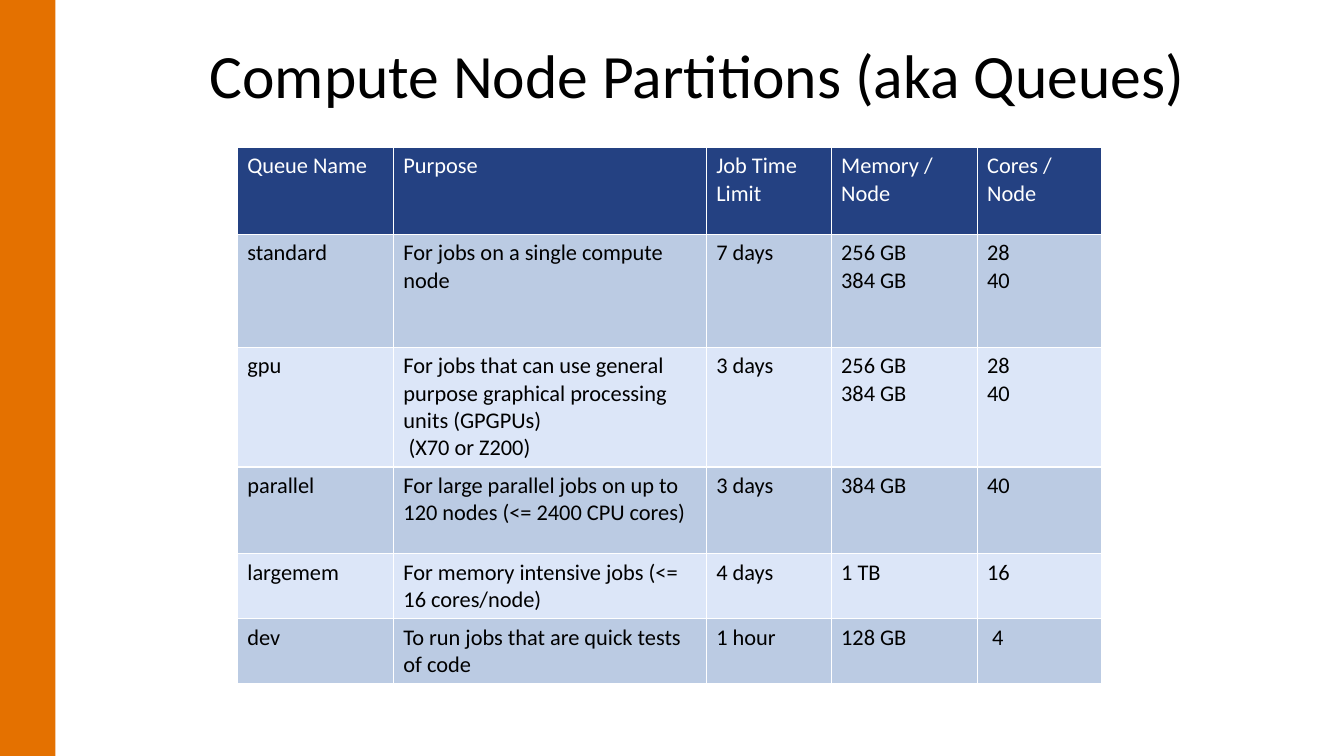
from dataclasses import dataclass

from pptx import Presentation
from pptx.dml.color import RGBColor
from pptx.enum.shapes import MSO_SHAPE
from pptx.enum.text import MSO_ANCHOR, MSO_AUTO_SIZE, PP_ALIGN
from pptx.util import Pt

RECTANGLE = MSO_SHAPE.RECTANGLE
TOP = MSO_ANCHOR.TOP
LEFT = PP_ALIGN.LEFT
NO_AUTOFIT = MSO_AUTO_SIZE.NONE

TITLE = "Compute Node Partitions (aka Queues)"
HEADERS = ["Queue Name", "Purpose", "Job Time Limit", "Memory / Node", "Cores / Node"]
QUEUES = [
    ("standard", "For jobs on a single compute node",
     "7 days", "256 GB\n384 GB", "28\n40"),
    ("gpu", "For jobs that can use general purpose graphical processing units (GPGPUs)\n"
     " (X70 or Z200)", "3 days", "256 GB\n384 GB", "28\n40"),
    ("parallel", "For large parallel jobs on up to 120 nodes (<= 2400 CPU cores)",
     "3 days", "384 GB", "40"),
    ("largemem", "For memory intensive jobs (<= 16 cores/node)", "4 days", "1 TB", "16"),
    ("dev", "To run jobs that are quick tests of code", "1 hour", "128 GB", " 4"),
]

SLIDE_SIZE = (960, 540)
BAR_WIDTH = 39.6
TITLE_BOX = (142.5, 28.8, 756, 104.4)
TABLE_ORIGIN = (169.5, 105.4)
COLUMN_WIDTHS = [111.5, 223.5, 89.2, 104.3, 89.2]
ROW_HEIGHTS = [62, 80.7, 80.7, 62, 44, 44]


@dataclass(frozen=True)
class Theme:
    font: str = "Calibri"
    title_size: int = 44
    table_size: int = 16
    bar: RGBColor = RGBColor(0xE4, 0x71, 0x00)
    header: RGBColor = RGBColor(0x24, 0x41, 0x82)
    bands: tuple = (RGBColor(0xBB, 0xCB, 0xE3), RGBColor(0xDC, 0xE6, 0xF8))
    light_text: RGBColor = RGBColor(0xFF, 0xFF, 0xFF)
    dark_text: RGBColor = RGBColor(0, 0, 0)


THEME = Theme()


def format_text(text_frame, size, color):
    font_format = {"name": THEME.font, "size": Pt(size), "bold": False}
    for paragraph in text_frame.paragraphs:
        paragraph.alignment = LEFT
        for run in paragraph.runs:
            for name, value in font_format.items():
                setattr(run.font, name, value)
            run.font.color.rgb = color


def add_side_bar(slide):
    bar = slide.shapes.add_shape(RECTANGLE, 0, 0, Pt(BAR_WIDTH), Pt(SLIDE_SIZE[1]))
    bar.shadow.inherit = False
    bar.fill.solid()
    bar.fill.fore_color.rgb = THEME.bar
    bar.line.fill.background()


def fill_title(slide):
    title = slide.shapes.title
    for name, value in zip(("left", "top", "width", "height"), TITLE_BOX):
        setattr(title, name, Pt(value))
    text_frame = title.text_frame
    text_frame.text = TITLE
    frame_format = {"vertical_anchor": TOP, "word_wrap": True, "auto_size": NO_AUTOFIT}
    for name, value in frame_format.items():
        setattr(text_frame, name, value)
    text_frame.paragraphs[0].line_spacing = 0.9
    format_text(text_frame, THEME.title_size, THEME.dark_text)


def add_queue_table(slide):
    rows = [HEADERS, *QUEUES]
    left, top = TABLE_ORIGIN
    table = slide.shapes.add_table(
        len(rows), len(HEADERS), Pt(left), Pt(top),
        Pt(sum(COLUMN_WIDTHS)), Pt(sum(ROW_HEIGHTS))).table
    for column, width in zip(table.columns, COLUMN_WIDTHS):
        column.width = Pt(width)
    for row_index, texts in enumerate(rows):
        table.rows[row_index].height = Pt(ROW_HEIGHTS[row_index])
        is_header = row_index == 0
        fill = THEME.header if is_header else THEME.bands[(row_index - 1) % 2]
        color = THEME.light_text if is_header else THEME.dark_text
        for cell, text in zip(table.rows[row_index].cells, texts):
            cell.fill.solid()
            cell.fill.fore_color.rgb = fill
            cell.text = text
            format_text(cell.text_frame, THEME.table_size, color)


def main():
    presentation = Presentation()
    presentation.slide_width, presentation.slide_height = map(Pt, SLIDE_SIZE)
    slide = presentation.slides.add_slide(presentation.slide_layouts.get_by_name("Title Only"))
    add_side_bar(slide)
    fill_title(slide)
    add_queue_table(slide)
    presentation.save("out.pptx")


if __name__ == "__main__":
    main()
